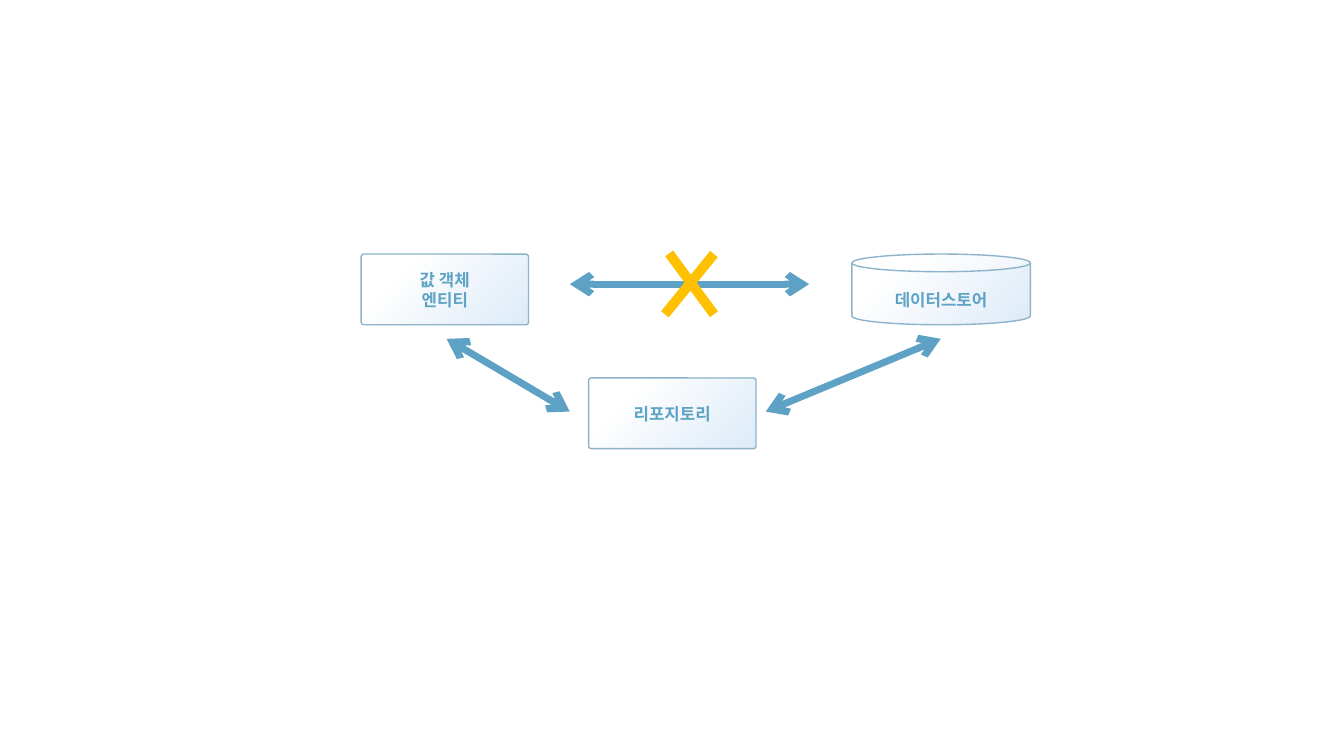
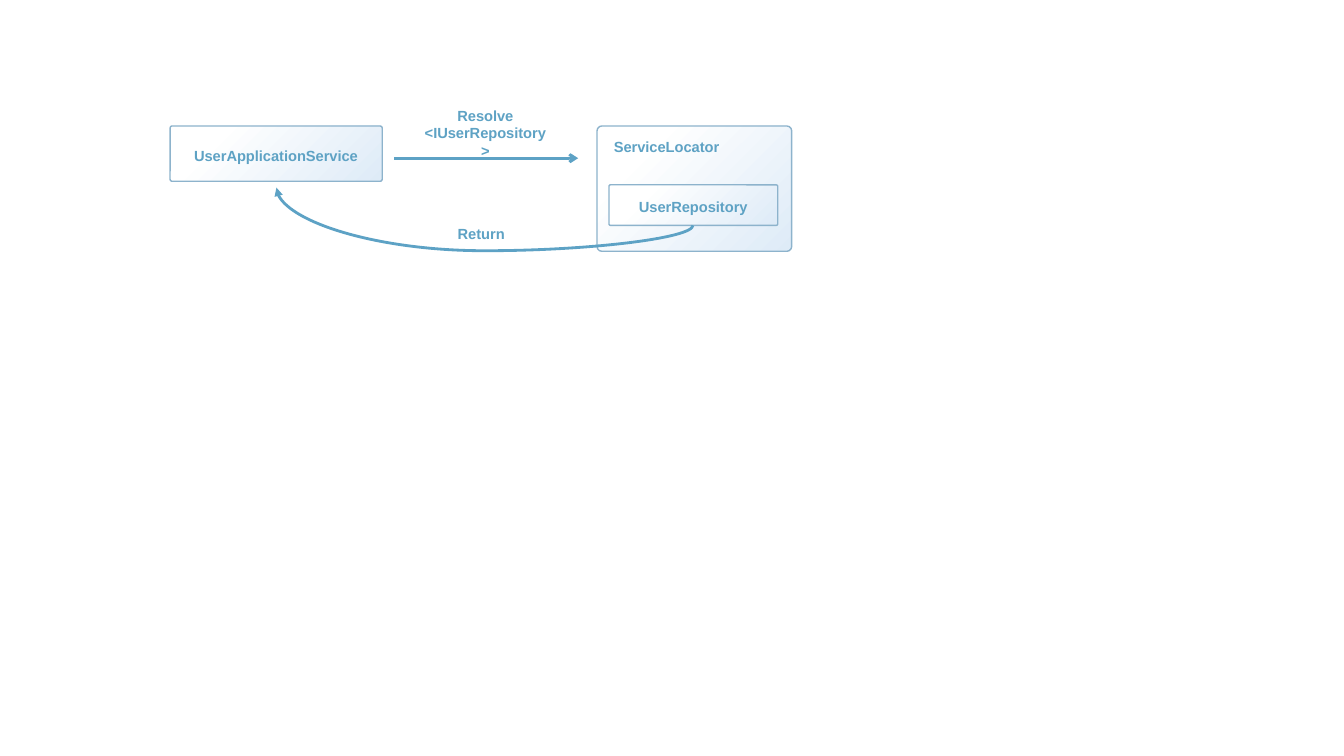
from dataclasses import dataclass

from lxml.etree import SubElement
from pptx import Presentation
from pptx.dml.color import RGBColor
from pptx.enum.shapes import MSO_CONNECTOR, MSO_SHAPE
from pptx.enum.text import MSO_ANCHOR, PP_ALIGN
from pptx.oxml.ns import qn
from pptx.shapes.connector import Connector
from pptx.slide import Slide
from pptx.text.text import TextFrame
from pptx.util import Pt

# Shared style
FONT = "Arial"
WHITE = RGBColor(0xFF, 0xFF, 0xFF)
PALE = RGBColor(0xDE, 0xEB, 0xF7)
EDGE = RGBColor(0x8D, 0xB3, 0xCC)
INK = RGBColor(0x5E, 0xA2, 0xC4)
BLUE = RGBColor(0x5D, 0xA2, 0xC5)
GOLD = RGBColor(0xFF, 0xC0, 0x00)
ROUND = 0.038
INSET = 3.6


@dataclass
class Box:
    text: str
    left: float
    top: float
    width: float
    height: float
    size: float
    drop: float = 0  # shift of the text below the middle
    kind: MSO_SHAPE = MSO_SHAPE.ROUNDED_RECTANGLE
    corner: bool = False  # text at top left


@dataclass
class Label:
    text: str
    left: float
    top: float
    width: float
    height: float
    wrap: bool


@dataclass
class Line:
    start: tuple[float, float]
    end: tuple[float, float]
    width: float
    color: RGBColor = BLUE
    head: str = ""
    tail: str = ""


def write(frame: TextFrame, text: str, size: float, align: PP_ALIGN) -> None:
    frame.text = text
    for para in frame.paragraphs:
        para.alignment = align
        para.font.name = FONT
        para.font.size = Pt(size)
        para.font.bold = True
        para.font.color.rgb = INK


def draw_box(slide: Slide, box: Box) -> None:
    shape = slide.shapes.add_shape(
        box.kind, Pt(box.left), Pt(box.top), Pt(box.width), Pt(box.height))
    shape.shadow.inherit = False
    if box.kind == MSO_SHAPE.ROUNDED_RECTANGLE:
        shape.adjustments[0] = ROUND
    # White to pale blue, towards the bottom right
    shape.fill.gradient()
    shape.fill.gradient_angle = 315
    for stop, place, color in zip(
            shape.fill.gradient_stops, (0.21, 1), (WHITE, PALE)):
        stop.position = place
        stop.color.rgb = color
    shape.line.color.rgb = EDGE
    shape.line.width = Pt(1)
    frame = shape.text_frame
    frame.word_wrap = True
    frame.margin_bottom = Pt(INSET)
    if box.corner:
        frame.vertical_anchor = MSO_ANCHOR.TOP
        frame.margin_left = Pt(11)
        frame.margin_top = Pt(7.6)
    else:
        frame.vertical_anchor = MSO_ANCHOR.MIDDLE
        frame.margin_top = Pt(INSET + 2 * box.drop)
    align = PP_ALIGN.LEFT if box.corner else PP_ALIGN.CENTER
    write(frame, box.text, box.size, align)


def draw_label(slide: Slide, label: Label) -> None:
    shape = slide.shapes.add_textbox(
        Pt(label.left), Pt(label.top), Pt(label.width), Pt(label.height))
    shape.text_frame.word_wrap = label.wrap
    write(shape.text_frame, label.text, 10.5, PP_ALIGN.CENTER)


def style(link: Connector, line: Line) -> None:
    link.line.color.rgb = line.color
    link.line.width = Pt(line.width)
    props = link.element.spPr
    for tag, end in (("a:headEnd", line.head), ("a:tailEnd", line.tail)):
        if end:
            SubElement(props.find(qn("a:ln")), qn(tag), type=end)
    SubElement(props, qn("a:effectLst"))


def draw_line(slide: Slide, line: Line) -> None:
    link = slide.shapes.add_connector(
        MSO_CONNECTOR.STRAIGHT, *map(Pt, line.start + line.end))
    style(link, line)


def draw_curve(slide: Slide, line: Line, bend: float) -> None:
    """Draw a curve that leaves downwards and comes back up on the left."""
    (x1, y1), (x2, y2) = line.start, line.end
    mid_x, mid_y = (x1 + x2) / 2, (y1 + y2) / 2
    half_w, half_h = (y1 - y2) / 2, (x1 - x2) / 2
    link = slide.shapes.add_connector(
        MSO_CONNECTOR.CURVE,
        Pt(mid_x + half_w), Pt(mid_y - half_h),
        Pt(mid_x - half_w), Pt(mid_y + half_h))
    link.rotation = 90
    guides = link.element.spPr.find(qn("a:prstGeom")).find(qn("a:avLst"))
    SubElement(guides, qn("a:gd"), name="adj1",
               fmla=f"val {round(bend * 100000)}")
    style(link, line)


def draw_store(slide: Slide) -> None:
    # Objects, repository and data store
    row, wide, tall = 181.5, 119.5, 50.5
    for box in (
        Box("값 객체\n엔티티", 258, row, wide, tall, 12),
        Box("리포지토리", 420.5, 270, wide, tall, 12),
        Box("데이터스토어", 608.5, row, 127.5, tall, 12, 4, MSO_SHAPE.CAN),
    ):
        draw_box(slide, box)
    # Two-way arrows
    for start, end in (
        ((407, 203), (578, 203)),
        ((319, 242), (407, 294)),
        ((547, 294), (672, 242)),
    ):
        draw_line(slide, Line(start, end, 5, head="arrow", tail="arrow"))
    # Cross over the direct way
    draw_line(slide, Line((510, 181.5), (475, 224.5), 7, GOLD))
    draw_line(slide, Line((510, 224.5), (478, 181), 7, GOLD))


def draw_locator(slide: Slide) -> None:
    # Service, locator and the repository inside it
    for box in (
        Box("UserApplicationService", 121.5, 90, 151.5, 39.5, 10.5, 1.7),
        Box("ServiceLocator", 426.5, 90, 139, 89.5, 10.5, corner=True),
        Box("UserRepository", 435, 132, 120.5, 29, 10.5, 1),
    ):
        draw_box(slide, box)
    # Request and answer
    draw_line(slide, Line((281.5, 113), (413, 113), 2, tail="arrow"))
    draw_label(slide, Label("Resolve\n<IUserRepository>",
                            293.5, 72.5, 106.5, 32, True))
    draw_curve(slide, Line((495, 161), (197.5, 134), 2, tail="triangle"),
               -0.67)
    draw_label(slide, Label("Return", 319.5, 157, 48.5, 20, False))


def main() -> None:
    deck = Presentation()
    deck.slide_width, deck.slide_height = Pt(960), Pt(540)
    blank = deck.slide_layouts[6]
    for draw in (draw_store, draw_locator):
        draw(deck.slides.add_slide(blank))
    deck.save("out.pptx")


if __name__ == "__main__":
    main()
